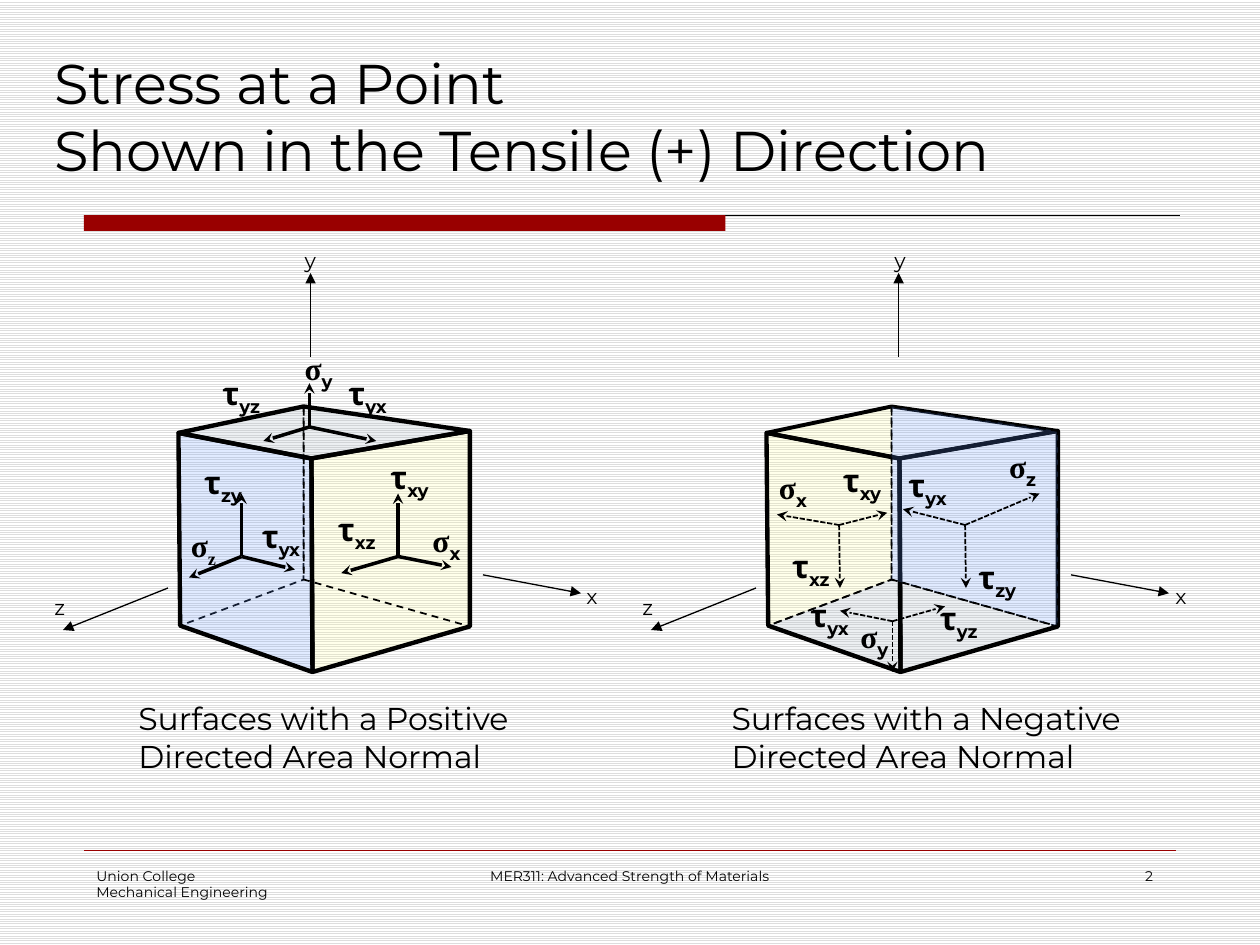
from pptx import Presentation
from pptx.util import Pt
from pptx.dml.color import RGBColor
from pptx.enum.dml import MSO_LINE_DASH_STYLE as DASH, MSO_PATTERN_TYPE as PATTERN
from pptx.enum.shapes import MSO_CONNECTOR_TYPE as CONN, MSO_SHAPE as SHAPE
from pptx.enum.text import MSO_ANCHOR as ANCHOR, PP_ALIGN as ALIGN
from pptx.oxml.ns import qn
from lxml import etree

BLACK = RGBColor(0x00, 0x00, 0x00)
WHITE = RGBColor(0xFF, 0xFF, 0xFF)
STRIPE = RGBColor(0xDD, 0xDD, 0xDD)
RED = RGBColor(0x99, 0x00, 0x00)
YELLOW = RGBColor(0xFF, 0xFF, 0x99)
BLUE = RGBColor(0x66, 0x99, 0xFF)
GREY = RGBColor(0xA3, 0xB2, 0xC1)
SANS, SERIF = "Montserrat", "Times New Roman"

prs = Presentation()
prs.slide_width, prs.slide_height = Pt(720), Pt(540)
s = prs.slides.add_slide(prs.slide_layouts[6])

# Striped background
bg = s.background.fill
bg.patterned()
bg.pattern = PATTERN.LIGHT_HORIZONTAL
bg.fore_color.rgb, bg.back_color.rgb = STRIPE, WHITE


def add_text(text, x, y, w, h, size, align=ALIGN.LEFT, wrap=True):
    tf = s.shapes.add_textbox(Pt(x), Pt(y), Pt(w), Pt(h)).text_frame
    tf.word_wrap = wrap
    tf.text = text
    for p in tf.paragraphs:
        p.alignment = align
        for r in p.runs:
            r.font.size, r.font.name = Pt(size), SANS
            r.font.color.rgb = BLACK
    return tf


def add_line(start, end, width, color=BLACK, dash=None, head=None):
    ends = [Pt(v) for v in (*start, *end)]
    cn = s.shapes.add_connector(CONN.STRAIGHT, *ends)
    cn.line.color.rgb, cn.line.width = color, Pt(width)
    if dash:
        cn.line.dash_style = dash
    if head:
        ln = cn.line._get_or_add_ln()
        etree.SubElement(ln, qn("a:tailEnd"), type=head)
    sp_pr = cn._element.spPr
    etree.SubElement(sp_pr, qn("a:effectLst"))


# Title, rules and footer
tf = add_text("Stress at a Point\vShown in the Tensile (+) Direction",
              24, 12, 678, 96, 32)
tf.vertical_anchor = ANCHOR.BOTTOM
add_line((48, 123), (674.5, 123), 0.75)
bar = s.shapes.add_shape(SHAPE.RECTANGLE, Pt(48), Pt(123), Pt(366.5), Pt(9))
bar.shadow.inherit = False
bar.fill.solid()
bar.fill.fore_color.rgb = RED
bar.line.fill.background()
add_line((48, 486), (672, 486), 0.25, RED)
add_text("Union College\nMechanical Engineering", 48, 492, 150, 36, 8)
add_text("MER311: Advanced Strength of Materials", 246, 492, 228, 36, 8, ALIGN.CENTER)
add_text("2", 516, 492, 150, 36, 8, ALIGN.RIGHT)

# Cube corners and axes of the left diagram; the right one is shifted by SHIFT
SHIFT = 336
CORNERS = {
    "A": (102, 247.4), "B": (178, 262), "C": (268.5, 246.3), "D": (173.5, 232.3),
    "E": (103, 357.5), "F": (178.6, 384), "G": (268.5, 358), "H": (173.5, 331.2),
}
AXES = [((177.5, 204), (177.5, 156)), ((276, 328.5), (332, 339)), ((96, 336), (36, 360))]

# Each face: corners, fill, line width (1 pt faces are the dashed hidden ones)
# Each arrow group: origin, tips. Each label: symbol, subscript, left, top
cubes = [
    dict(
        dx=0, arrow=(2, None),
        faces=[("FBCG", YELLOW, 2.5), ("DAEH", None, 1), ("ABFE", BLUE, 2.5),
               ("ABCD", GREY, 2.5), ("CDHG", None, 1)],
        arrows=[((176.8, 244), [(150.5, 252), (215, 252), (176.8, 219)]),
                ((138, 318), [(108, 330), (168.5, 325.5), (138, 282)]),
                ((227.5, 318), [(195, 327.5), (258, 324), (227.5, 282)])],
        labels=[("τ", "xz", 186, 288), ("τ", "xy", 216, 258), ("τ", "yz", 120, 210),
                ("τ", "yx", 142.5, 292), ("τ", "zy", 109.5, 261), ("τ", "yx", 192, 210),
                ("σ", "x", 240, 294), ("σ", "y", 167, 196), ("σ", "z", 102, 297)],
        axis_labels=[("z", 24, 336), ("y", 167, 138), ("x", 328, 330)],
        caption=("Positive", 72, 255),
    ),
    dict(
        dx=SHIFT, arrow=(1, DASH.SQUARE_DOT),
        faces=[("DAEH", YELLOW, 1), ("EFGH", GREY, 1), ("ABFE", None, 2.5),
               ("FBCG", None, 2.5), ("ABCD", None, 2.25), ("CDHG", BLUE, 1)],
        arrows=[((510, 355), [(540, 346.5), (480, 349), (510, 384)]),
                ((551.5, 300), [(594, 282), (516, 291), (552, 336)]),
                ((479.5, 300), [(507, 293), (444, 294), (480, 336)])],
        labels=[("τ", "xy", 474.5, 260), ("τ", "xz", 445.5, 309), ("τ", "yz", 530, 339),
                ("τ", "yx", 512, 263), ("τ", "zy", 552, 315.5), ("τ", "yx", 456, 337),
                ("σ", "x", 438, 264), ("σ", "y", 484.5, 349), ("σ", "z", 569.5, 252)],
        axis_labels=[("z", 360, 336), ("y", 504, 138), ("x", 664.5, 330)],
        caption=("Negative", 411, 264),
    ),
]

for cube in cubes:
    dx = cube["dx"]

    # Faces
    for names, color, width in cube["faces"]:
        pts = [(Pt(CORNERS[n][0] + dx), Pt(CORNERS[n][1])) for n in names]
        fb = s.shapes.build_freeform(*pts[0])
        fb.add_line_segments(pts[1:], close=True)
        sp = fb.convert_to_shape()
        sp.shadow.inherit = False
        if color is None:
            sp.fill.background()
        else:
            sp.fill.solid()
            sp.fill.fore_color.rgb = color
            clr = sp._element.spPr.find(qn("a:solidFill"))[0]
            etree.SubElement(clr, qn("a:alpha"), val="20000")
        sp.line.color.rgb, sp.line.width = BLACK, Pt(width)
        if width == 1:
            sp.line.dash_style = DASH.DASH

    # Stress arrows and axes
    width, dash = cube["arrow"]
    for origin, tips in cube["arrows"]:
        for tip in tips:
            add_line(origin, tip, width, dash=dash, head="stealth")
    for (x1, y1), (x2, y2) in AXES:
        add_line((x1 + dx, y1), (x2 + dx, y2), 0.75, head="triangle")

    # Stress labels with subscripts
    for symbol, sub, x, y in cube["labels"]:
        w, h = (38, 51) if symbol == "τ" else (32, 29)
        p = add_text(symbol, x, y, w, h, 18, wrap=False).paragraphs[0]
        p.runs[0].font.name = SANS if symbol == "τ" else SERIF
        r = p.add_run()
        r.text = sub
        r.font.name = SERIF if (sub, dx) == ("z", 0) else SANS
        r.font.size = Pt(18)
        r.font.color.rgb = BLACK
        r.font._element.set("baseline", "-25000")
        for r in p.runs:
            r.font.bold = True

    # Axis names and caption
    for name, x, y in cube["axis_labels"]:
        add_text(name, x, y, 24, 22, 12)
    sign, x, w = cube["caption"]
    add_text(f"Surfaces with a {sign}\nDirected Area Normal", x, 396, w, 51, 18, wrap=False)

prs.save("out.pptx")
